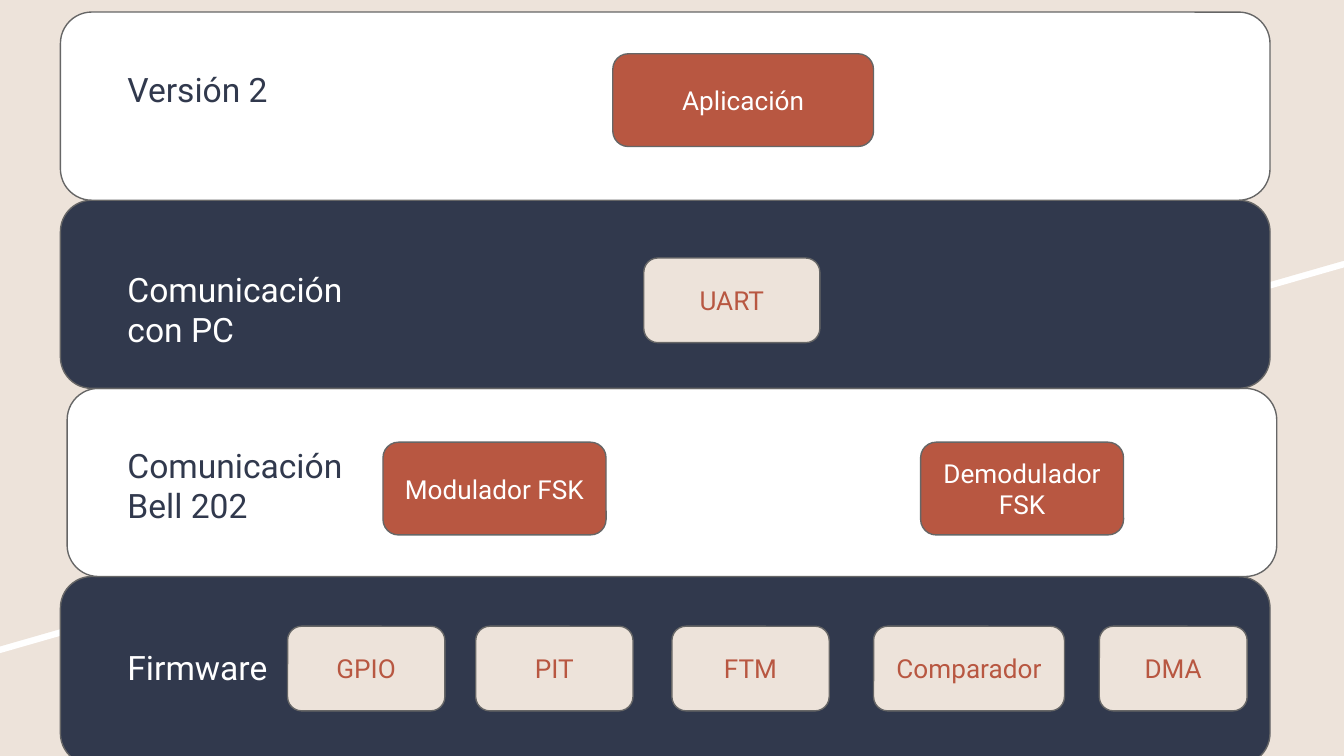
from pptx import Presentation
from pptx.dml.color import RGBColor
from pptx.enum.shapes import MSO_SHAPE
from pptx.enum.text import MSO_ANCHOR, PP_ALIGN
from pptx.util import Inches, Pt

ROUND = MSO_SHAPE.ROUNDED_RECTANGLE
MIDDLE, TOP = MSO_ANCHOR.MIDDLE, MSO_ANCHOR.TOP
CENTER, LEFT = PP_ALIGN.CENTER, PP_ALIGN.LEFT
FONT = "Roboto"
COLORS = {"sand": "EDE3DA", "white": "FFFFFF", "navy": "31394D",
          "rust": "B85741", "gray": "666666"}


def paint(fill, color):
    fill.solid()
    fill.fore_color.rgb = RGBColor.from_string(COLORS[color])


def write(shape, text, size, color, align, anchor):
    frame = shape.text_frame
    frame.word_wrap = True
    frame.vertical_anchor = anchor
    frame.margin_left = frame.margin_right = Inches(0.1)
    frame.margin_top = frame.margin_bottom = Inches(0.1)
    frame.text = text
    par = frame.paragraphs[0]
    par.alignment = align
    font = par.runs[0].font
    font.name, font.size = FONT, Pt(size)
    font.color.rgb = RGBColor.from_string(COLORS[color])


def add_slope(slide, top, color):
    """Fill the area above a line that rises to the right."""
    points = [(10, top), (10, top + 1.94), (0, top + 4.81)]
    path = slide.shapes.build_freeform(0, Inches(top))
    path.add_line_segments([(Inches(x), Inches(y)) for x, y in points])
    shape = path.convert_to_shape()
    shape.shadow.inherit = False
    paint(shape.fill, color)
    shape.line.fill.background()


def add_round(slide, left, top, width, height, color):
    shape = slide.shapes.add_shape(
        ROUND, Inches(left), Inches(top), Inches(width), Inches(height))
    shape.shadow.inherit = False
    paint(shape.fill, color)
    paint(shape.line.fill, "gray")
    shape.line.width = Pt(0.75)
    return shape


def add_block(slide, text, left, top, width, height, color, ink):
    shape = add_round(slide, left, top, width, height, color)
    write(shape, text, 14, ink, CENTER, MIDDLE)


def add_label(slide, text, top, width, height, ink):
    box = slide.shapes.add_textbox(
        Inches(0.85), Inches(top), Inches(width), Inches(height))
    write(box, text, 18, ink, LEFT, TOP)


def main():
    # Widescreen page, 16 to 9
    prs = Presentation()
    prs.slide_width, prs.slide_height = Inches(10), Inches(10 * 9 / 16)
    slide = prs.slides.add_slide(prs.slide_layouts[6])

    # Background with a white diagonal stripe
    paint(slide.background.fill, "sand")
    add_slope(slide, 0.05, "white")
    add_slope(slide, 0, "sand")

    # Layers, bottom one at the back
    lefts = [0.45, 0.45, 0.5, 0.45]
    for row in reversed(range(4)):
        color = "navy" if row % 2 else "white"
        add_round(slide, lefts[row], 0.09 + 1.4 * row, 9, 1.4, color)

    # Layer names
    labels = [("Versión 2", 0.41, 2, 0.76),
              ("Comunicación con PC", 1.9, 1.82, 0.58),
              ("Comunicación Bell 202", 3.21, 2, 0.76),
              ("Firmware", 4.71, 1.28, 0.58)]
    for row, label in enumerate(labels):
        add_label(slide, *label, "white" if row % 2 else "navy")

    # Software modules
    for text, left, top, width in [("Aplicación", 4.56, 0.4, 1.94),
                                   ("Modulador FSK", 2.85, 3.29, 1.66),
                                   ("Demodulador FSK", 6.85, 3.29, 1.51)]:
        add_block(slide, text, left, top, width, 0.69, "rust", "white")

    # Drivers
    for text, left, top, width in [("UART", 4.79, 1.92, 1.31),
                                   ("GPIO", 2.14, 4.66, 1.17),
                                   ("PIT", 3.54, 4.66, 1.17),
                                   ("FTM", 5, 4.66, 1.17),
                                   ("Comparador", 6.5, 4.66, 1.42),
                                   ("DMA", 8.18, 4.66, 1.1)]:
        add_block(slide, text, left, top, width, 0.63, "sand", "rust")

    prs.save("out.pptx")


if __name__ == "__main__":
    main()
